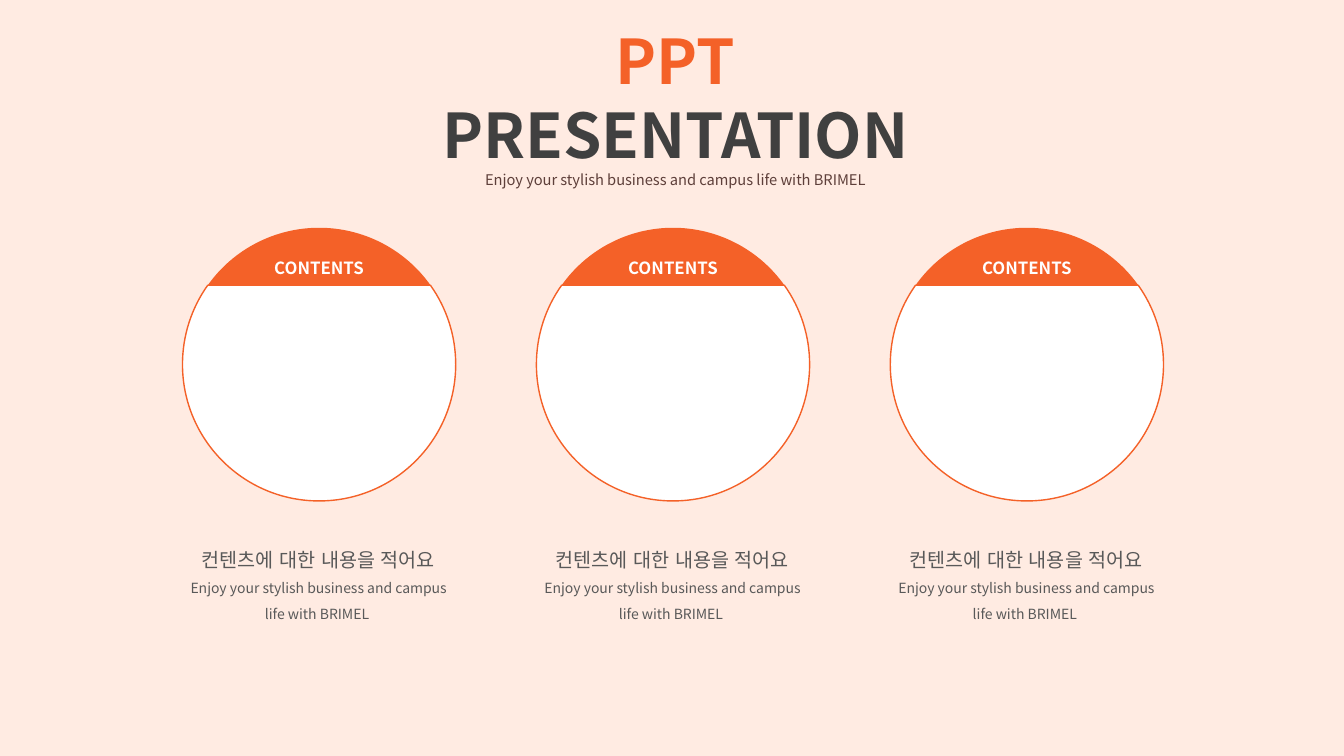
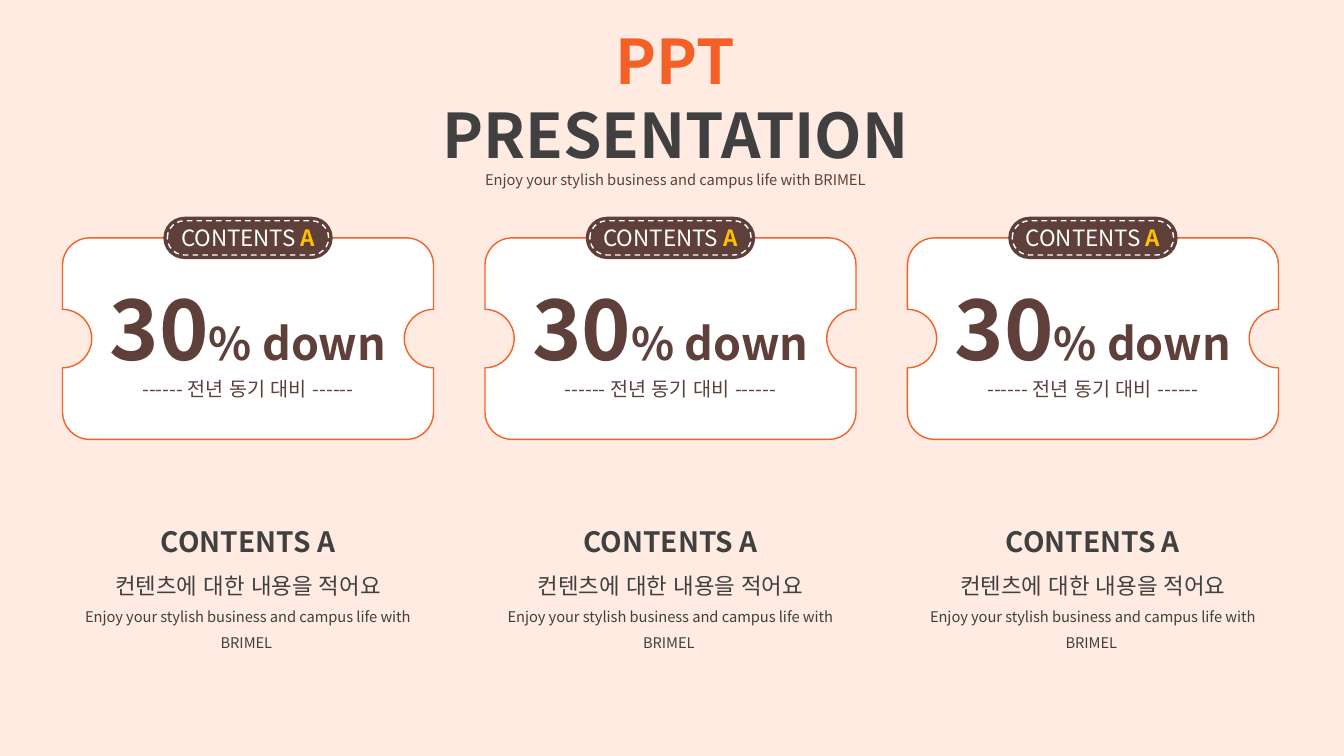
from math import asin, cos, degrees, radians, sin, tan

from lxml import etree
from pptx import Presentation
from pptx import util as u
from pptx.dml.color import RGBColor
from pptx.enum import dml, lang, shapes, text
from pptx.oxml import ns

FACE = "Noto Sans CJK KR"
INK = {
    "back": "FFEBE2",
    "main": "F46128",
    "dark": "404040",
    "gray": "595959",
    "brown": "5E3F3A",
    "gold": "FFC000",
    "white": "FFFFFF",
}
LEAD = "컨텐츠에 대한 내용을 적어요"
NOTE = "Enjoy your stylish business and campus life with BRIMEL"


def px(n):
    return u.Emu(round(n * 9144))


def tint(name):
    return RGBColor.from_string(INK[name])


def style(font, size, ink, bold=False):
    font.size, font.bold, font.name = u.Pt(size), bold, FACE
    font.language_id = lang.MSO_LANGUAGE_ID.KOREAN
    font.color.rgb = tint(ink)
    etree.SubElement(font._rPr, ns.qn("a:ea"), typeface=FACE)


def write(shape, paras, gap=1.0, anchor=text.MSO_ANCHOR.TOP):
    frame = shape.text_frame
    frame.word_wrap = True
    frame.auto_size = text.MSO_AUTO_SIZE.NONE
    frame.vertical_anchor = anchor
    for i, runs in enumerate(paras):
        para = frame.add_paragraph() if i else frame.paragraphs[0]
        para.alignment = text.PP_ALIGN.CENTER
        para.line_spacing = gap
        for words, *look in runs:
            run = para.add_run()
            run.text = words
            style(para.font if len(runs) == 1 else run.font, *look)


def label(host, box, paras, gap=1.0):
    write(host.add_textbox(*map(px, box)), paras, gap)


def paint(shape, fill=None, line=None):
    shape.shadow.inherit = False
    if fill:
        shape.fill.solid()
        shape.fill.fore_color.rgb = tint(fill)
    else:
        shape.fill.background()
    if line:
        shape.line.color.rgb = tint(line)
        shape.line.width = u.Pt(1)
    else:
        shape.line.fill.background()


def arc(x, y, r, *stops):
    def spot(turn, push=0):
        t = radians(turn)
        return x + r * (cos(t) - push * sin(t)), y + r * (sin(t) + push * cos(t))

    parts = [[spot(stops[0])]]
    for a, b in zip(stops, stops[1:]):
        k = 4 / 3 * tan(radians(b - a) / 4)
        parts.append([spot(a, k), spot(b, -k), spot(b)])
    return parts


def outline(host, parts, fill, line=None):
    first, *rest = [(px(x), px(y)) for part in parts for x, y in part]
    pen = host.build_freeform(*first)
    pen.add_line_segments(rest, close=True)
    shape = pen.convert_to_shape()
    legs = iter(list(shape._element.iter(ns.qn("a:lnTo"))))
    for part in parts[1:]:
        leg = next(legs)
        if len(part) == 3:
            curve = etree.Element(ns.qn("a:cubicBezTo"))
            leg.addprevious(curve)
            for old in (leg, next(legs), next(legs)):
                curve.append(old[0])
                old.getparent().remove(old)
    paint(shape, fill, line)
    return shape


def heading(slide):
    title = slide.shapes.title
    title.left, title.top, title.width, title.height = map(px, (428, 18, 484, 174))
    write(title, [[("PPT", 44, "main", True), (" PRESENTATION", 44, "dark", True)],
                  [(NOTE, 10.5, "brown")]])


def disc(host, x, y, size, cut):
    r = size / 2
    mid = x + r, y + r
    tilt = degrees(asin((r - cut) / r))
    outline(host, arc(*mid, r, tilt - 180, -90, -tilt), "main")
    outline(host, arc(*mid, r, -tilt, 0, 90, 180, 180 + tilt), "white", "main")
    label(host, (x, y + 15, size, 36), [[("CONTENTS", 12, "white", True)]], 1.5)
    label(host, (x - 8, y + 301, size + 15, 96),
          [[(LEAD, 14, "gray")], [(NOTE + " ", 10, "gray")]], 1.5)


def badge(host, x, y, w, h):
    group = host.add_group_shape().shapes
    for pad, fill, line in ((0, "brown", None), (4, None, "white")):
        box = x + pad, y + pad, w - 2 * pad, h - 2 * pad
        pill = group.add_shape(shapes.MSO_SHAPE.ROUNDED_RECTANGLE, *map(px, box))
        pill.adjustments[0] = 0.5
        paint(pill, fill, line)
        if line:
            pill.line.dash_style = dml.MSO_LINE.DASH
        else:
            frame = pill.text_frame
            frame.margin_left = frame.margin_right = 0
            write(pill, [[("CONTENTS ", 16, "white"), ("A", 16, "gold", True)]],
                  anchor=text.MSO_ANCHOR.MIDDLE)


def ticket(host, x, y, w, h):
    c, r = 27, 29
    right, low, mid = x + w, y + h, y + h / 2
    parts = (arc(right - c, y + c, c, -90, 0)
             + arc(right, mid, r, -90, -180, -270)
             + arc(right - c, low - c, c, 0, 90)
             + arc(x + c, low - c, c, 90, 180)
             + arc(x, mid, r, 90, 0, -90)
             + arc(x + c, y + c, c, 180, 270))
    write(outline(host, parts, "white", "main"),
          [[("30", 60, "brown", True), ("% down", 32, "brown", True)],
           [("------ 전년 동기 대비 ------", 14, "brown")]],
          anchor=text.MSO_ANCHOR.MIDDLE)
    badge(host, x + (w - 168) / 2, y - 21, 168, 42)
    label(host, (x, y + 263, w, 154),
          [[("CONTENTS A", 20, "dark", True)], [(LEAD, 16, "dark")],
           [(NOTE + " ", 10.5, "dark")]], 1.5)


def page(deck, draw, x, y, step, *size):
    slide = deck.slides.add_slide(deck.slide_layouts[5])
    heading(slide)
    for i in range(3):
        draw(slide.shapes, x + i * step, y, *size)


def main():
    deck = Presentation()
    deck.slide_width, deck.slide_height = px(1333), px(750)
    fill = deck.slide_master.background.fill
    fill.solid()
    fill.fore_color.rgb = tint("back")
    page(deck, disc, 181, 226, 351, 271, 57)
    page(deck, ticket, 62, 236, 419, 368, 200)
    deck.save("out.pptx")


if __name__ == "__main__":
    main()
